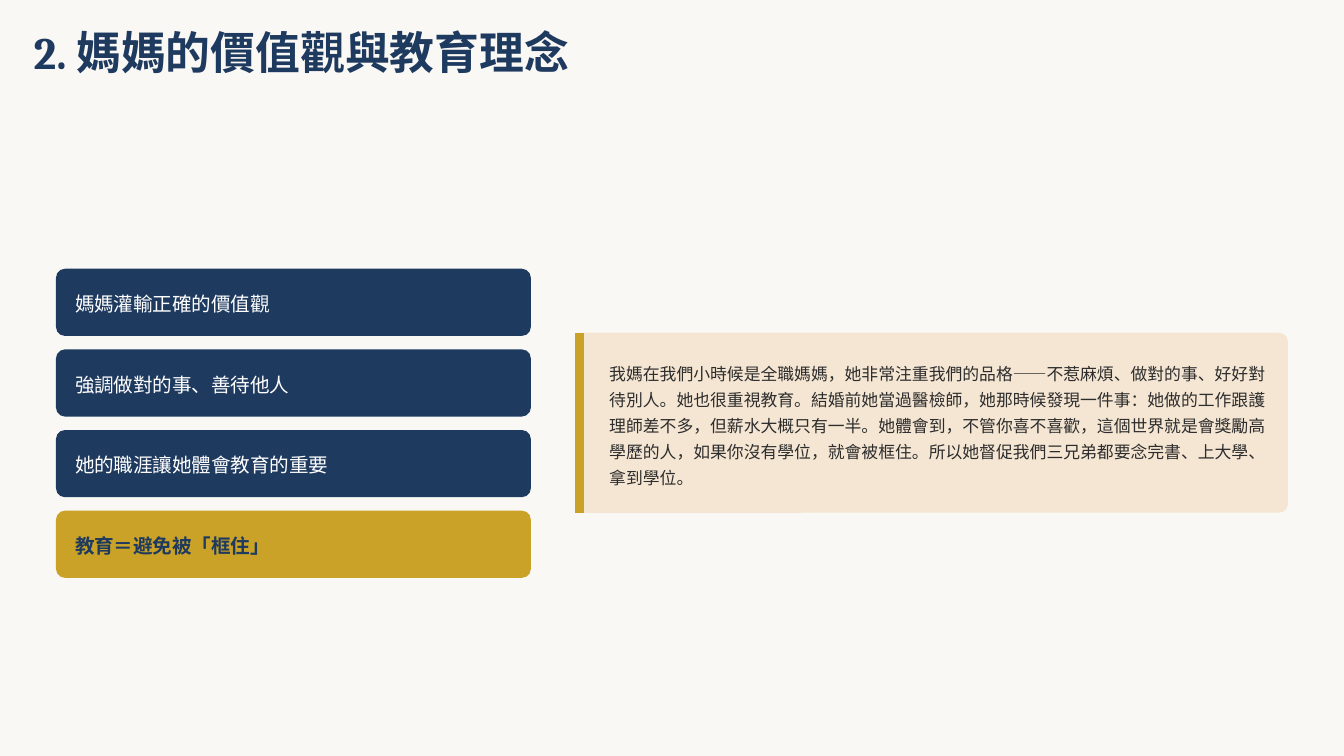
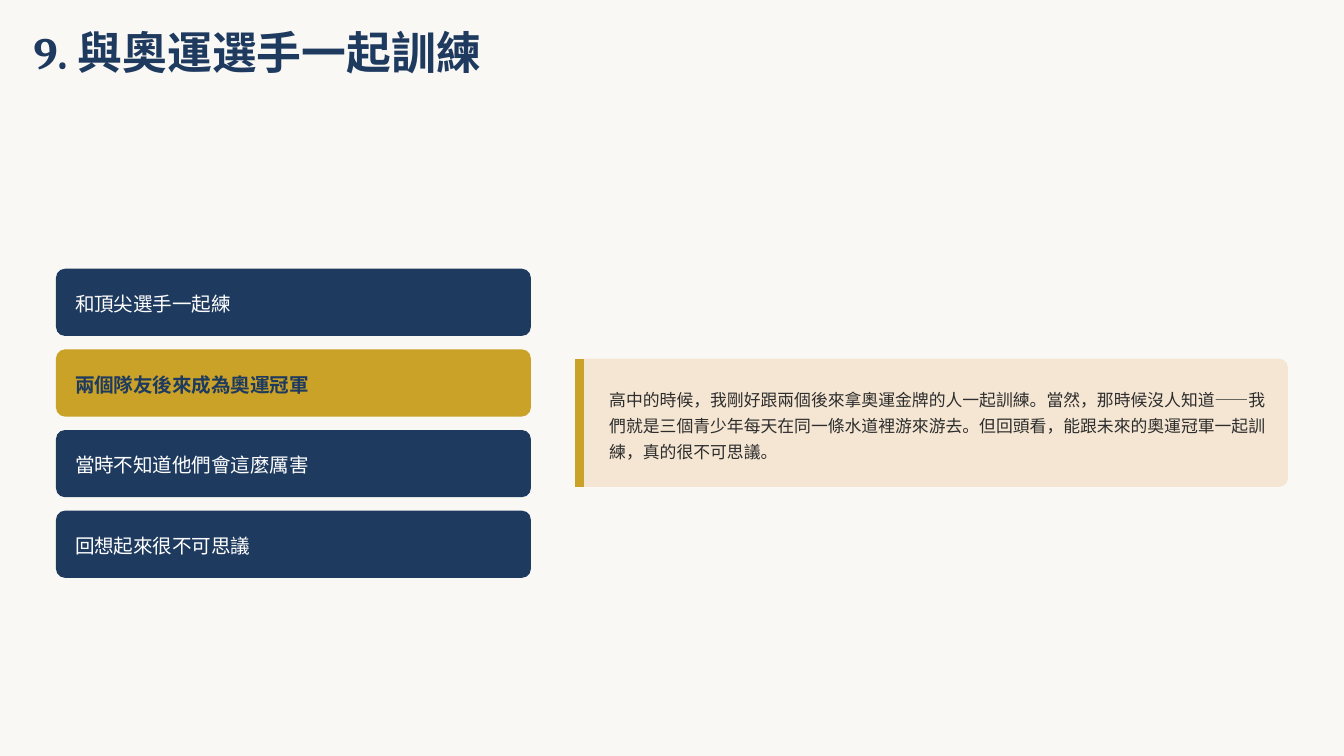
from dataclasses import dataclass

from lxml import etree
from pptx import Presentation
from pptx.dml.color import RGBColor
from pptx.enum.shapes import MSO_CONNECTOR, MSO_SHAPE
from pptx.enum.text import MSO_ANCHOR, PP_ALIGN
from pptx.oxml.ns import qn
from pptx.util import Inches, Pt

ROUND = MSO_SHAPE.ROUNDED_RECTANGLE
STRAIGHT = MSO_CONNECTOR.STRAIGHT
TOP = MSO_ANCHOR.TOP
LEFT = PP_ALIGN.LEFT

COLS, ROWS = 120, 67.5
LEAD = 13.9


@dataclass(frozen=True)
class Type:
    """Font, size, line pitch, colour and weight of a text."""
    font: str
    size: float
    pitch: float
    color: str
    bold: bool = False


@dataclass(frozen=True)
class Theme:
    """Colours and type styles of the deck."""
    paper: str = "FAF8F5"
    navy: str = "1E3A5F"
    gold: str = "C9A227"
    sand: str = "F5E6D3"
    title: Type = Type("Cambria", 24, 24, "1E3A5F", True)
    card: Type = Type("Arial", 10.5, 14.7, "FFFFFF")
    key: Type = Type("Arial", 10.5, 14.7, "1E3A5F", True)
    quote: Type = Type("Arial", 9, LEAD, "2D2D2D")


class Deck:
    """Draws elements on the current slide, measured in grid columns and rows."""

    def __init__(self, theme):
        """Open an empty widescreen deck."""
        self.theme = theme
        self.prs = Presentation()
        self.prs.slide_width = Inches(10)
        self.prs.slide_height = Inches(5.625)
        self.slide = None

    def grid(self, col, row):
        """Turn columns and rows into slide lengths."""
        return (round(self.prs.slide_width * col / COLS),
                round(self.prs.slide_height * row / ROWS))

    def page(self, title):
        """Start a slide with its background and title."""
        self.slide = self.prs.slides.add_slide(self.prs.slide_layouts[6])
        fill = self.slide.background.fill
        fill.solid()
        fill.fore_color.rgb = RGBColor.from_string(self.theme.paper)
        self.text(3, 3, 58.3, 4, title, self.theme.title)

    def text(self, col, row, wide, high, words, style):
        """Add a text box without insets."""
        box = self.slide.shapes.add_textbox(*self.grid(col, row), *self.grid(wide, high))
        frame = box.text_frame
        frame.word_wrap = True
        frame.vertical_anchor = TOP
        frame.margin_left = frame.margin_right = 0
        frame.margin_top = frame.margin_bottom = 0
        para = frame.paragraphs[0]
        para.alignment = LEFT
        para.line_spacing = Pt(style.pitch)
        run = para.add_run()
        run.text = words
        run.font.name = style.font
        run.font.size = Pt(style.size)
        run.font.bold = style.bold
        run.font.color.rgb = RGBColor.from_string(style.color)

    def panel(self, col, row, wide, high, color):
        """Add a rounded panel with the common corner radius."""
        shape = self.slide.shapes.add_shape(
            ROUND, *self.grid(col, row), *self.grid(wide, high))
        shape.adjustments[0] = 0.8 / high
        shape.shadow.inherit = False
        shape.fill.solid()
        shape.fill.fore_color.rgb = RGBColor.from_string(color)
        shape.line.fill.background()

    def bar(self, col, row, high):
        """Add an upright accent line."""
        line = self.slide.shapes.add_connector(
            STRAIGHT, *self.grid(col, row), *self.grid(col, row + high))
        line.line.color.rgb = RGBColor.from_string(self.theme.gold)
        line.line.width = Pt(4.5)
        etree.SubElement(line._element.spPr, qn("a:effectLst"))

    def cards(self, items, key):
        """Stack the cards and mark the key one."""
        for i, words in enumerate(items):
            row = 24 + 7.2 * i
            fill, style = ((self.theme.gold, self.theme.key) if i == key
                           else (self.theme.navy, self.theme.card))
            self.panel(5, row, 42.4, 6, fill)
            self.text(6.7, row + 1.7, 39.7, 2.45, words, style)

    def quote(self, words, lines):
        """Add the quote, sized to its lines and centred beside the cards."""
        pad = 2.25
        body = lines * LEAD / 6
        high = body + 2 * pad
        row = 37.75 - high / 2
        self.panel(51.4, row, 63.6, high, self.theme.sand)
        self.bar(51.75, row, high)
        self.text(54.4, row + pad, 59.5, body, words, self.theme.quote)


PAGES = [
    ("2. 媽媽的價值觀與教育理念",
     ["媽媽灌輸正確的價值觀", "強調做對的事、善待他人",
      "她的職涯讓她體會教育的重要", "教育＝避免被「框住」"], 3,
     "我媽在我們小時候是全職媽媽，她非常注重我們的品格——不惹麻煩、做對的事、好好對待別人。"
     "她也很重視教育。結婚前她當過醫檢師，她那時候發現一件事：她做的工作跟護理師差不多，"
     "但薪水大概只有一半。她體會到，不管你喜不喜歡，這個世界就是會獎勵高學歷的人，"
     "如果你沒有學位，就會被框住。所以她督促我們三兄弟都要念完書、上大學、拿到學位。", 5),
    ("9. 與奧運選手一起訓練",
     ["和頂尖選手一起練", "兩個隊友後來成為奧運冠軍",
      "當時不知道他們會這麼厲害", "回想起來很不可思議"], 1,
     "高中的時候，我剛好跟兩個後來拿奧運金牌的人一起訓練。當然，那時候沒人知道——"
     "我們就是三個青少年每天在同一條水道裡游來游去。但回頭看，"
     "能跟未來的奧運冠軍一起訓練，真的很不可思議。", 3),
]


def main():
    """Build and save the deck."""
    deck = Deck(Theme())
    for title, items, key, words, lines in PAGES:
        deck.page(title)
        deck.cards(items, key)
        deck.quote(words, lines)
    deck.prs.save("out.pptx")


if __name__ == "__main__":
    main()
